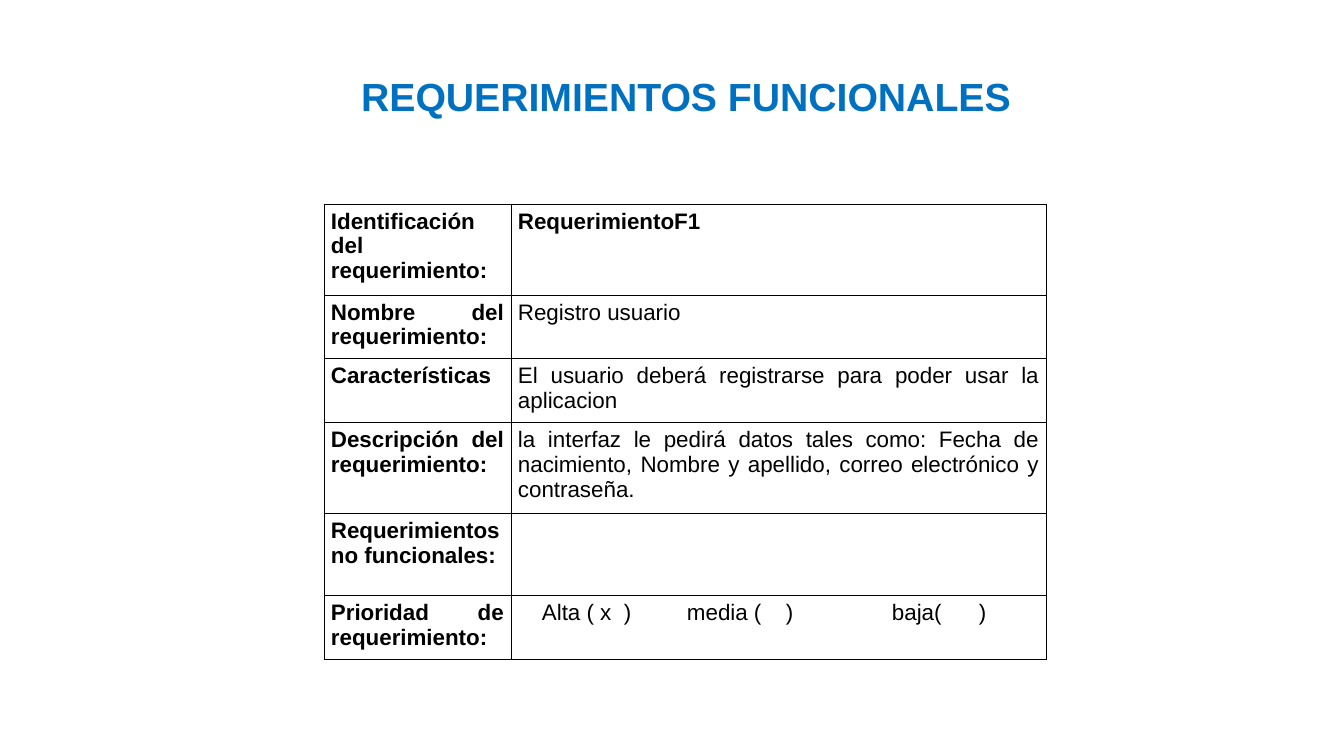
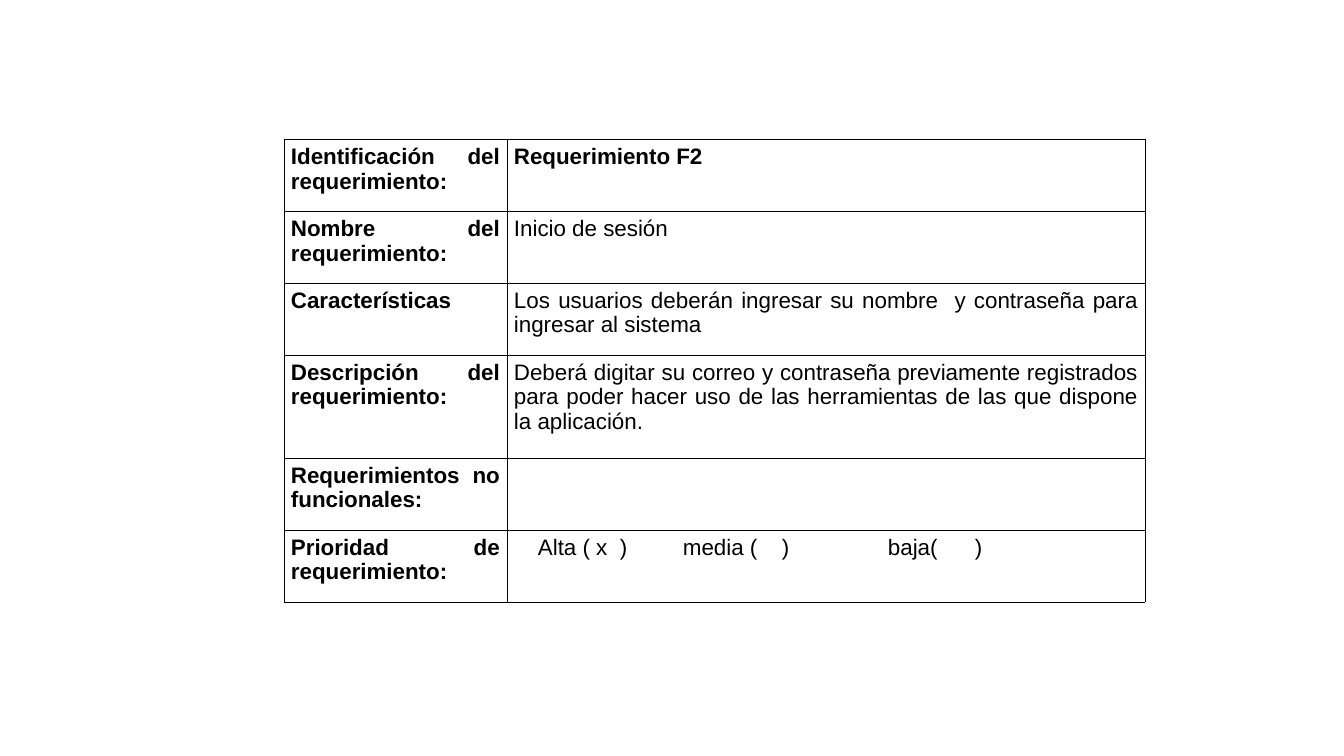
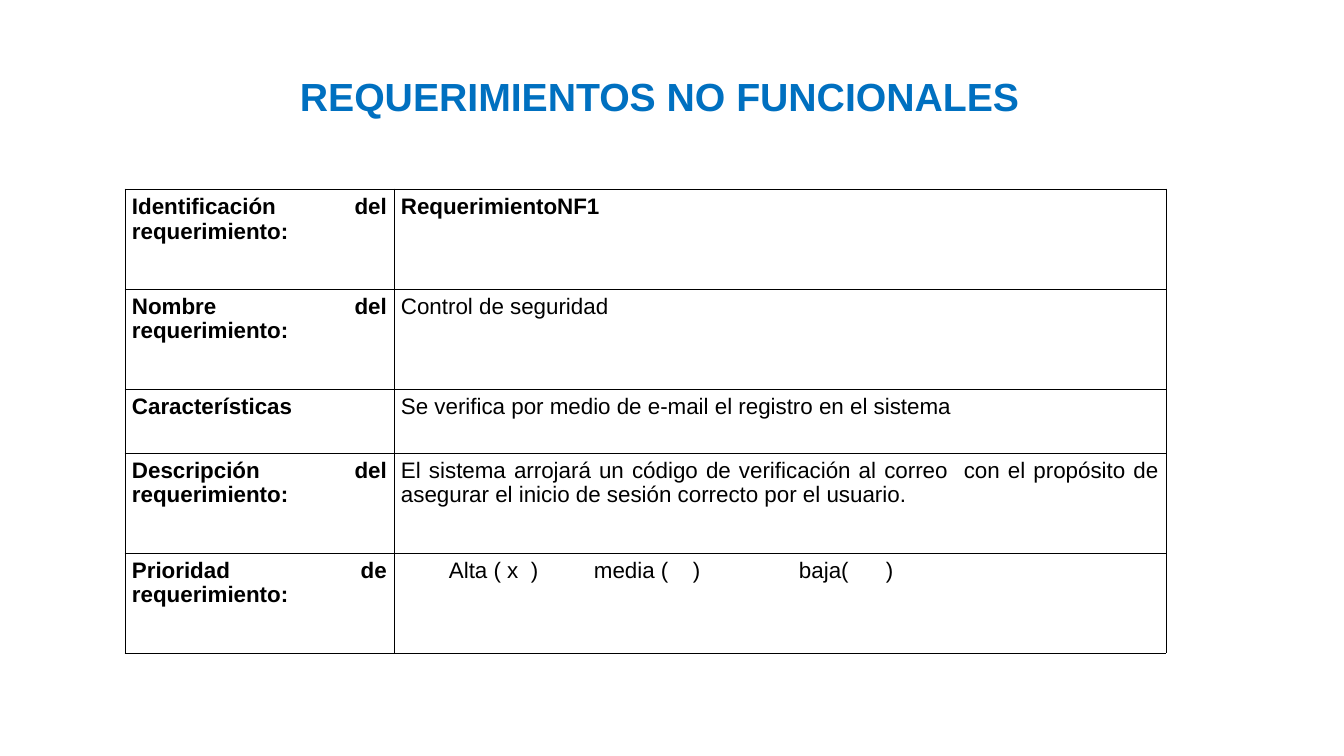
"""Build three slides of software requirement tables."""
from lxml.etree import SubElement
from pptx import Presentation
from pptx.dml.color import RGBColor
from pptx.enum.text import MSO_ANCHOR, PP_ALIGN
from pptx.oxml import parse_xml
from pptx.oxml.ns import nsdecls, qn
from pptx.util import Emu, Pt

BLUE, BLACK, FONT = "0070C0", "000000", "Arial"
SCALE = 914400 / 100.8
LABELS = {
    "id": "Identificación del requerimiento:",
    "name": "Nombre del requerimiento:",
    "traits": "Características",
    "about": "Descripción del requerimiento:",
    "other": "Requerimientos no funcionales:",
    "rank": "Prioridad de requerimiento:",
}
RANK = "\tAlta ( x\t)\tmedia (\t)\tbaja(\t)"
STOPS = [24, 106, 169, 268, 374, 461]

SLIDES = [
    {
        "title": ("REQUERIMIENTOS FUNCIONALES", 333, 706),
        "at": (324, 204), "cols": [187, 535], "shift": 0,
        "rows": [
            ("id", 91, "RequerimientoF1"),
            ("name", 63, "Registro usuario"),
            ("traits", 64, "El usuario deberá registrarse para poder usar la aplicacion"),
            ("about", 91, "la interfaz le pedirá datos tales como: Fecha de nacimiento, "
             "Nombre y apellido, correo electrónico y contraseña."),
            ("other", 82, ""),
            ("rank", 64, RANK),
        ],
    },
    {
        "title": None,
        "at": (284, 139), "cols": [223, 638], "shift": 0,
        "rows": [
            ("id", 72, "Requerimiento F2"),
            ("name", 72, "Inicio de sesión"),
            ("traits", 72, "Los usuarios deberán ingresar su nombre  y contraseña "
             "para ingresar al sistema"),
            ("about", 103, "Deberá digitar su correo y contraseña previamente registrados "
             "para poder hacer uso de las herramientas de las que dispone la aplicación."),
            ("other", 72, ""),
            ("rank", 72, RANK),
        ],
    },
    {
        "title": ("REQUERIMIENTOS NO FUNCIONALES", 280, 759),
        "at": (125, 189), "cols": [269, 772], "shift": 24,
        "rows": [
            ("id", 100, "RequerimientoNF1"),
            ("name", 100, "Control de seguridad"),
            ("traits", 64, "Se verifica por medio de e-mail el registro en el sistema"),
            ("about", 100, "El sistema arrojará un código de verificación al correo  con el "
             "propósito de asegurar el inicio de sesión correcto por el usuario."),
            ("rank", 100, RANK),
        ],
    },
]


def px(size):
    return Emu(round(size * SCALE))


def write(par, text, size, color, bold, align):
    par.alignment = align
    run = par.add_run()
    run.text = text
    run.font.name = FONT
    run.font.size = Pt(size)
    run.font.bold = bold
    run.font.color.rgb = RGBColor.from_string(color)


deck = Presentation()
deck.slide_width, deck.slide_height = px(1344), px(756)

for page in SLIDES:
    slide = deck.slides.add_slide(deck.slide_layouts[6])
    if page["title"]:
        text, left, width = page["title"]
        frame = slide.shapes.add_textbox(px(left), px(67), px(width), px(57)).text_frame
        frame.word_wrap = True
        write(frame.paragraphs[0], text, 28, BLUE, True, PP_ALIGN.CENTER)

    left, top = page["at"]
    rows, cols = page["rows"], page["cols"]
    tall = sum(row[1] for row in rows)
    table = slide.shapes.add_table(
        len(rows), len(cols), px(left), px(top), px(sum(cols)), px(tall)).table
    table.first_row = table.horz_banding = False
    for col, width in zip(table.columns, cols):
        col.width = px(width)

    for r, (key, height, value) in enumerate(rows):
        table.rows[r].height = px(height)
        for c, text in enumerate((LABELS[key], value)):
            cell = table.cell(r, c)
            cell.margin_left = cell.margin_right = px(7)
            cell.margin_top = cell.margin_bottom = px(5)
            cell.vertical_anchor = MSO_ANCHOR.TOP
            cell.fill.background()
            props = cell._tc.get_or_add_tcPr()
            for i, side in enumerate("LRTB"):
                props.insert(i, parse_xml(
                    f'<a:ln{side} {nsdecls("a")} w="{Pt(0.5)}"><a:solidFill>'
                    f'<a:srgbClr val="{BLACK}"/></a:solidFill></a:ln{side}>'))
            if text:
                par = cell.text_frame.paragraphs[0]
                bold = c == 0 or key == "id"
                write(par, text, 16, BLACK, bold, PP_ALIGN.JUSTIFY)
                if text == RANK:
                    tabs = SubElement(par._p.get_or_add_pPr(), qn("a:tabLst"))
                    for stop in STOPS:
                        SubElement(tabs, qn("a:tab"), algn="l",
                                   pos=str(px(stop + page["shift"])))

deck.save("out.pptx")
